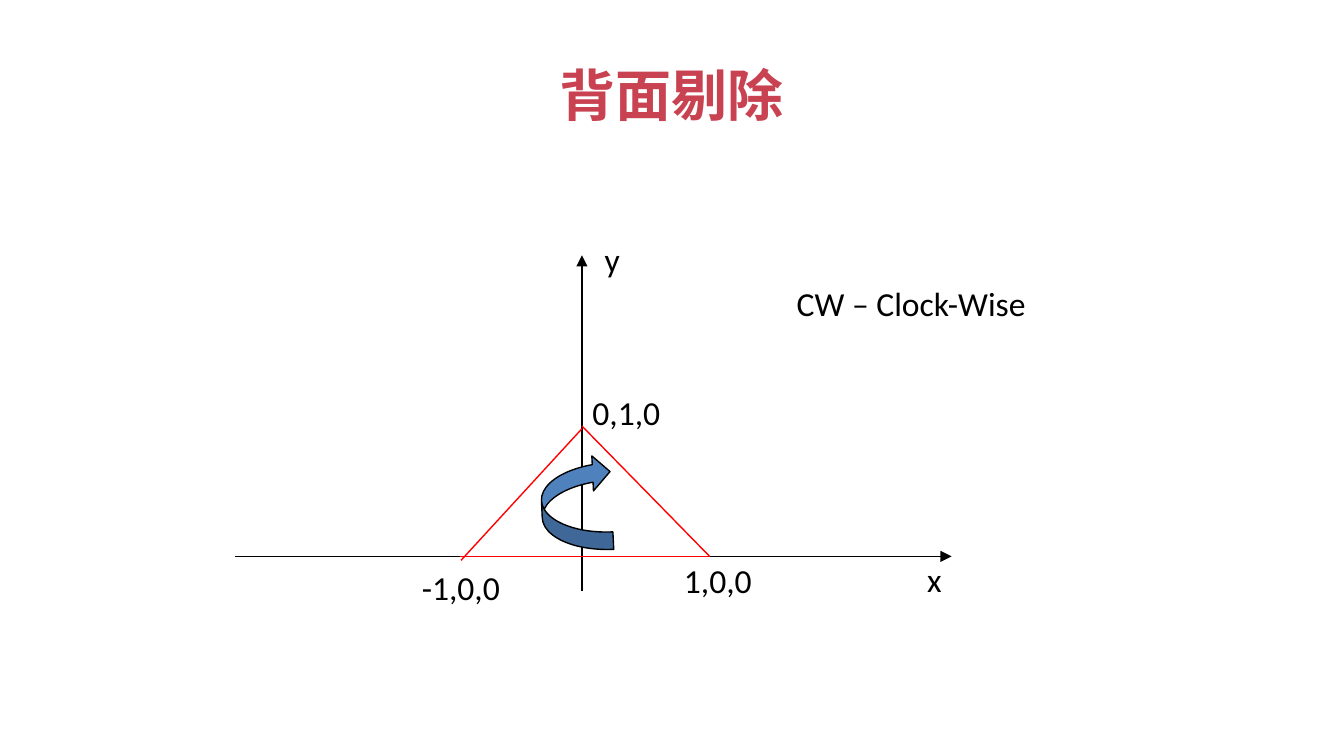
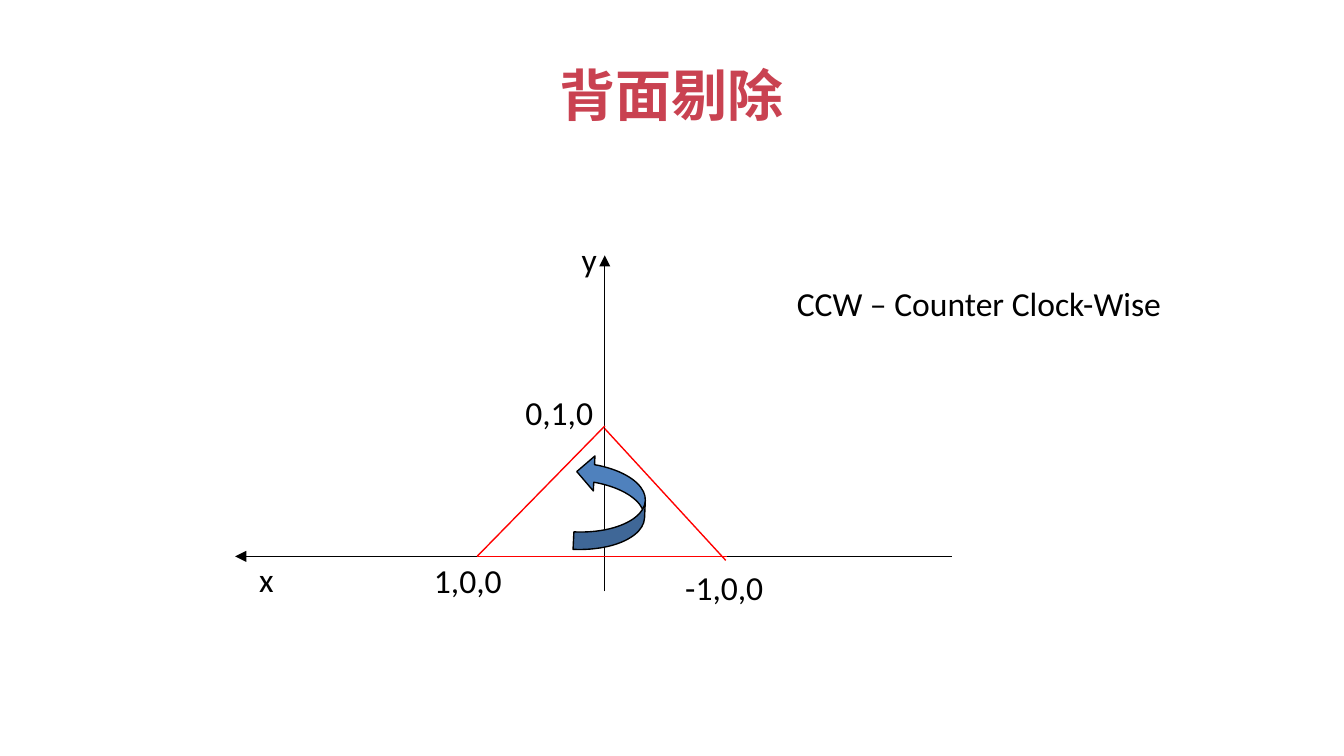
"""Build two mirrored slides on back-face culling and winding order."""
from lxml.etree import SubElement
from pptx import Presentation
from pptx.dml.color import RGBColor
from pptx.enum.shapes import MSO_CONNECTOR, MSO_SHAPE
from pptx.enum.text import MSO_ANCHOR, MSO_AUTO_SIZE, PP_ALIGN
from pptx.oxml.ns import qn
from pptx.util import Inches, Pt

BLACK, RED, BLUE, ROSE = "000000", "FF0000", "4F81BD", "C94251"
SPAN = 8.83
BASE = 4.14

LINES = [
    (1.75, BASE, 7.08, BASE, BLACK),
    (4.33, 4.4, 4.33, 1.9, BLACK),
    (3.42, BASE, 5.28, BASE, RED),
    (3.43, 4.17, 4.33, 3.19, RED),
    (4.33, 3.17, 5.28, BASE, RED),
]
LABELS = [
    ("x", 6.8, 4.11, 0.2),
    ("y", 4.4, 1.73, 0.2),
    ("1,0,0", 4.99, 4.12, 0.71),
    ("-1,0,0", 3.04, 4.17, 0.79),
    ("0,1,0", 4.31, 2.87, 0.71),
]
SLIDES = [
    ("CW – Clock-Wise", 1.93, False),
    ("CCW – Counter Clock-Wise", 2.95, True),
]


def paint(target, code):
    """Give a font or fill a solid colour."""
    if hasattr(target, "solid"):
        target.solid()
        target.fore_color.rgb = RGBColor.from_string(code)
    else:
        target.color.rgb = RGBColor.from_string(code)


def label(shapes, text, left, top, width):
    """Add a one-line text box."""
    box = shapes.add_textbox(Inches(left), Inches(top), Inches(width), Inches(0.4))
    frame = box.text_frame
    frame.text = text
    frame.word_wrap = len(text) == 1
    frame.auto_size = MSO_AUTO_SIZE.SHAPE_TO_FIT_TEXT
    font = frame.paragraphs[0].runs[0].font
    font.name, font.size = "Calibri", Pt(18)
    paint(font, BLACK)


deck = Presentation()
deck.slide_width, deck.slide_height = Inches(10), Inches(10 * 9 / 16)

for note, wide, flip in SLIDES:
    slide = deck.slides.add_slide(deck.slide_layouts[5])
    title = slide.shapes.title
    title.left, title.top = Inches(0.5), Inches(0.23)
    title.width, title.height = Inches(9), Inches(0.94)
    frame = title.text_frame
    frame.text = "背面剔除"
    frame.vertical_anchor = MSO_ANCHOR.MIDDLE
    frame.paragraphs[0].alignment = PP_ALIGN.CENTER
    run = frame.paragraphs[0].runs[0]
    font = run.font
    font.name, font.size, font.bold = "Noto Sans CJK SC", Pt(30), True
    paint(font, ROSE)
    SubElement(run._r.get_or_add_rPr(), qn("a:ea"), typeface=font.name)

    group = slide.shapes.add_group_shape().shapes
    for x1, y1, x2, y2, code in LINES:
        if flip:
            x1, x2 = SPAN - x1, SPAN - x2
        line = group.add_connector(
            MSO_CONNECTOR.STRAIGHT, Inches(x1), Inches(y1), Inches(x2), Inches(y2))
        paint(line.line.fill, code)
        line.line.width = Pt(0.75)
        props = line._element.spPr
        if code == BLACK:
            SubElement(props.find(qn("a:ln")), qn("a:tailEnd"), type="triangle")
        SubElement(props, qn("a:effectLst"))

    for text, left, top, width in LABELS:
        label(group, text, SPAN - left - width if flip else left, top, width)

    left = SPAN - 4.03 - 0.52 if flip else 4.03
    turn = group.add_shape(
        MSO_SHAPE.CURVED_LEFT_ARROW, Inches(left), Inches(3.39), Inches(0.52), Inches(0.71))
    turn.shadow.inherit = False
    paint(turn.fill, BLUE)
    paint(turn.line.fill, BLACK)
    turn.line.width = Pt(0.75)
    turn.rotation = 182.7 if flip else 177.3
    if flip:
        turn._element.spPr.find(qn("a:xfrm")).set("flipH", "1")

    label(slide.shapes, note, 5.83, 2.06, wide)

deck.save("out.pptx")
